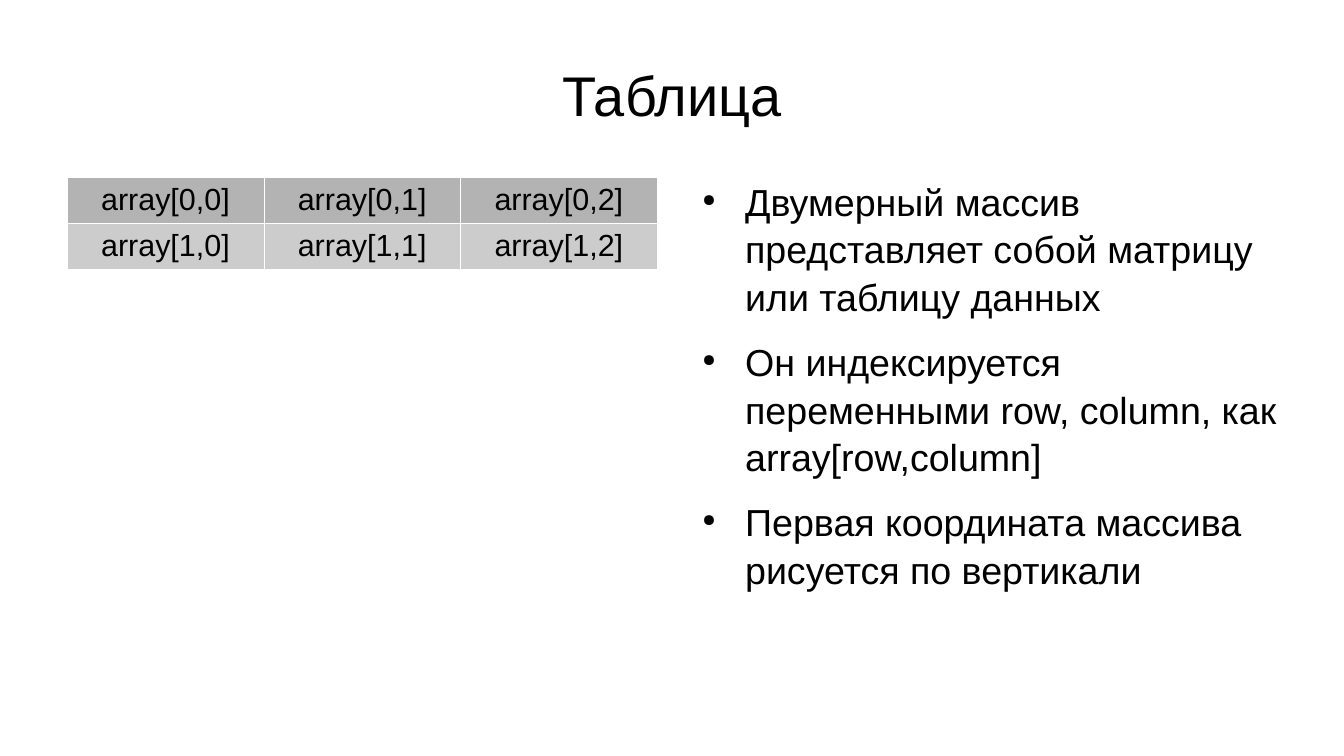
from pptx import Presentation
from pptx.dml.color import RGBColor as Rgb
from pptx.enum.text import MSO_ANCHOR as Anchor, PP_ALIGN as Align
from pptx.oxml import parse_xml
from pptx.oxml.ns import nsdecls
from pptx.util import Inches, Pt

BLACK, WHITE = "000000", "FFFFFF"
HEADS = ("B3B3B3", "CCCCCC")
POINTS = [
    "Двумерный массив представляет собой матрицу или таблицу данных",
    "Он индексируется переменными row, column, как array[row,column]",
    "Первая координата массива рисуется по вертикали",
]


def color(code):
    return Rgb.from_string(code)


def write(par, text, size, align=Align.LEFT, fill=BLACK):
    par.alignment = align
    run = par.add_run()
    run.text = text
    run.font.name = "Arial"
    run.font.size = Pt(size)
    run.font.color.rgb = color(fill)


def clear(frame):
    frame.margin_left = frame.margin_right = 0
    frame.margin_top = frame.margin_bottom = 0
    frame.word_wrap = True


def place(shape, box):
    shape.left, shape.top, shape.width, shape.height = map(Inches, box)


def add_title(slide, box):
    title = slide.shapes.title
    place(title, box)
    frame = title.text_frame
    clear(frame)
    frame.vertical_anchor = Anchor.MIDDLE
    write(frame.paragraphs[0], "Таблица", 33, align=Align.CENTER)


def edge(cell):
    # Thin white border on all four sides, ahead of the fill
    props = cell._tc.get_or_add_tcPr()
    for spot, side in enumerate(("lnL", "lnR", "lnT", "lnB")):
        props.insert(spot, parse_xml(
            f'<a:{side} {nsdecls("a")} w="720"><a:solidFill>'
            f'<a:srgbClr val="{WHITE}"/></a:solidFill></a:{side}>'))


def add_grid(slide, box, rows=2, cols=3):
    grid = slide.shapes.add_table(rows, cols, *map(Inches, box)).table
    for row in range(rows):
        for col in range(cols):
            cell = grid.cell(row, col)
            cell.fill.solid()
            cell.fill.fore_color.rgb = color(HEADS[row])
            edge(cell)
            write(cell.text_frame.paragraphs[0], f"array[{row},{col}]", 18,
                  align=Align.CENTER)


def bullet(par):
    props = par._p.get_or_add_pPr()
    props.set("marL", str(Inches(0.47)))
    props.set("indent", str(Inches(-0.35)))
    for item in (f'<a:buClr {{}}><a:srgbClr val="{BLACK}"/></a:buClr>',
                 '<a:buSzPct {} val="45000"/>',
                 '<a:buChar {} char="●"/>'):
        props.append(parse_xml(item.format(nsdecls("a"))))


def add_list(slide, box):
    frame = slide.shapes.add_textbox(*map(Inches, box)).text_frame
    clear(frame)
    for num, text in enumerate(POINTS):
        par = frame.add_paragraph() if num else frame.paragraphs[0]
        bullet(par)
        par.line_spacing = 1.05
        par.space_after = Pt(10.6)
        write(par, text, 22.2)


def main():
    deck = Presentation()
    deck.slide_width, deck.slide_height = Inches(11.02), Inches(6.2)
    slide = deck.slides.add_slide(deck.slide_layouts[5])
    # Heading
    add_title(slide, (0.55, 0.25, 9.92, 1.04))
    # Array cells on the left, explanation on the right
    add_grid(slide, (0.55, 1.45, 4.84, 0.76))
    add_list(slide, (5.64, 1.45, 4.84, 3.6))
    deck.save("out.pptx")


if __name__ == "__main__":
    main()
